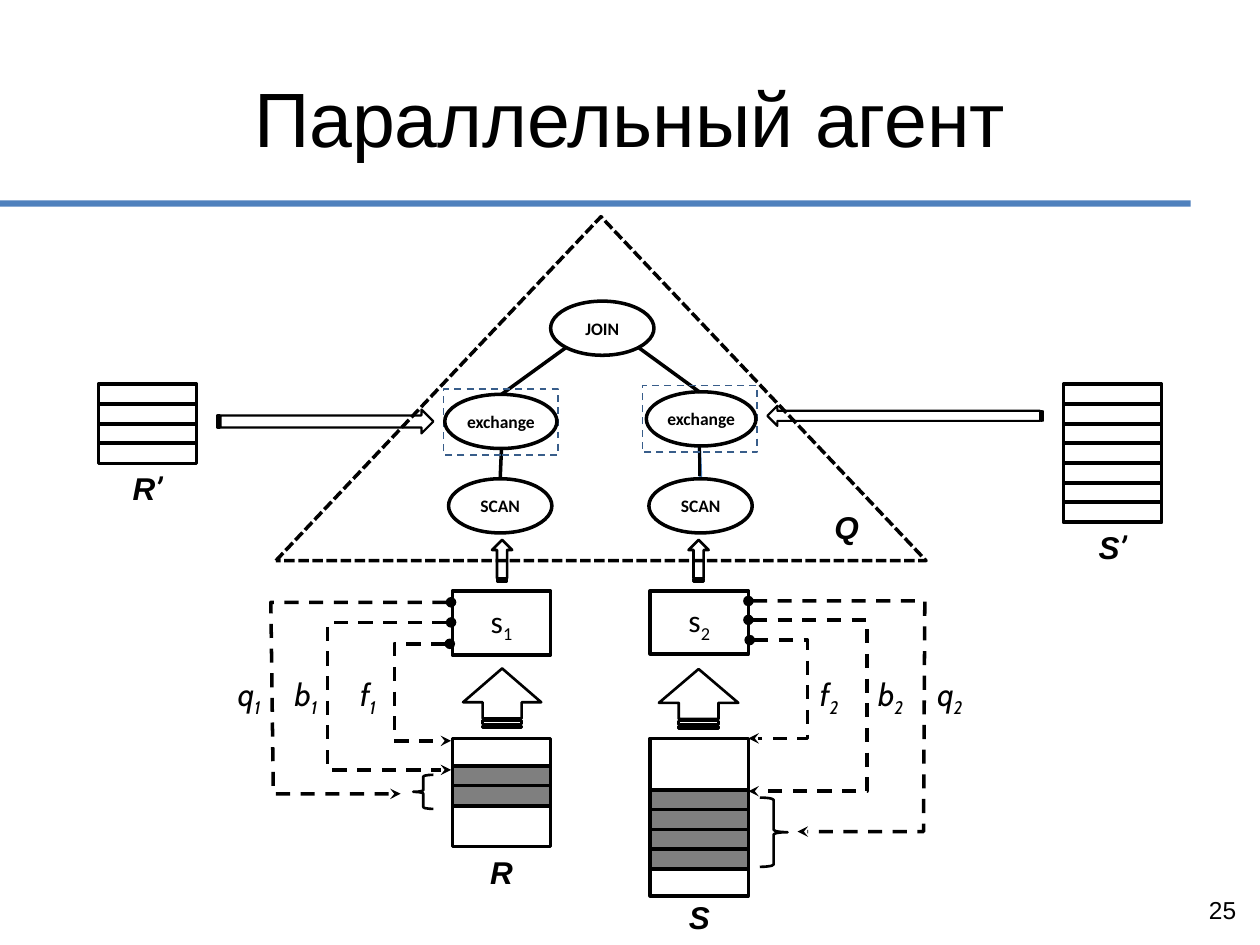
"""Build the slide on the parallel agent: a join tree fed by two scanned relations."""
from lxml import etree
from pptx import Presentation
from pptx.dml.color import RGBColor
from pptx.enum.dml import MSO_LINE as Dash
from pptx.enum.shapes import MSO_CONNECTOR, MSO_SHAPE as Kind
from pptx.enum.text import MSO_ANCHOR as Anchor, MSO_AUTO_SIZE as AutoSize, PP_ALIGN as Align
from pptx.oxml.ns import qn
from pptx.util import Inches, Pt

COLORS = {"ink": "000000", "bar": "4F81BD", "link": "4A7EBB", "frame": "385D8A", "band": "7F7F7F"}


def style(shape, width=2, fill=None, dash=None, line="ink"):
    shape.shadow.inherit = False
    if fill:
        shape.fill.solid()
        shape.fill.fore_color.rgb = RGBColor.from_string(COLORS[fill])
    else:
        shape.fill.background()
    if width:
        shape.line.color.rgb = RGBColor.from_string(COLORS[line])
        shape.line.width = Pt(width)
        shape.line.dash_style = dash
    else:
        shape.line.fill.background()
    return shape


def write(shape, runs, size=18, align=Align.CENTER, anchor=Anchor.MIDDLE,
          bold=False, italic=False, wrap=True, inset=None, grow=False):
    frame = shape.text_frame
    frame.word_wrap = wrap
    frame.vertical_anchor = anchor
    if grow:
        frame.auto_size = AutoSize.SHAPE_TO_FIT_TEXT
    if inset is not None:
        frame.margin_left = frame.margin_right = frame.margin_top = frame.margin_bottom = inset
    paragraph = frame.paragraphs[0]
    paragraph.alignment = align
    for text, face, lowered in runs:
        run = paragraph.add_run()
        run.text = text
        run.font.name = face
        run.font.size = Pt(size)
        run.font.bold = bold
        run.font.italic = italic
        run.font.color.rgb = RGBColor.from_string(COLORS["ink"])
        if lowered:
            run._r.get_or_add_rPr().set("baseline", "-25000")


deck = Presentation()
deck.slide_width, deck.slide_height = Inches(10), Inches(7.5)
shapes = deck.slides.add_slide(deck.slide_layouts[6]).shapes

title_bar = shapes.add_shape(Kind.RECTANGLE, 0, Inches(1.59), Inches(9.45), Inches(0.05))
style(title_bar, width=0, fill="bar")
title = shapes.add_textbox(Inches(0.5), Inches(0.3), Inches(9), Inches(1.25))
write(title, [("Параллельный агент", "Arial", False)], size=44)

tree_links = [
    (4.49, 2.76, 3.98, 3.13, "ink"),
    (5.07, 2.76, 5.55, 3.11, "ink"),
    (5.55, 3.54, 5.56, 3.8, "link"),
    (3.98, 3.56, 3.97, 3.8, "ink"),
    (5.55, 3.54, 5.55, 3.78, "ink"),
]
for *ends, color in tree_links:
    link = shapes.add_connector(MSO_CONNECTOR.STRAIGHT, *map(Inches, ends))
    link.line.color.rgb = RGBColor.from_string(COLORS[color])
    link.line.width = Pt(2)
    etree.SubElement(link._element.spPr, qn("a:effectLst"))

for exchange_frame in [(3.52, 3.09, 0.91, 0.52), (5.1, 3.06, 0.91, 0.53)]:
    frame_box = shapes.add_shape(Kind.RECTANGLE, *map(Inches, exchange_frame))
    style(frame_box, width=1, dash=Dash.DASH, line="frame")

query = shapes.add_shape(Kind.ISOSCELES_TRIANGLE, *map(Inches, (2.19, 1.72, 5.16, 2.73)))
style(query, dash=Dash.SQUARE_DOT)

tree_nodes = [
    ("exchange", 3.53, 3.13, 0.89),
    ("exchange", 5.13, 3.11, 0.87),
    ("JOIN", 4.37, 2.39, 0.82),
    ("SCAN", 5.15, 3.8, 0.82),
    ("SCAN", 3.56, 3.8, 0.82),
]
for operation, left, top, width in tree_nodes:
    node = style(shapes.add_shape(Kind.OVAL, *map(Inches, (left, top, width, 0.43))))
    write(node, [(operation, "Calibri", False)], size=10, bold=True, inset=0)

cell_width, row_height = 0.78, 0.16
row_pitch = cell_width / 5

rows = [(3.59, 5.86, 0.86, None), (5.16, 5.86, 1.25, None)]
row_groups = [
    (3.59, 6.08, 2, "band"),
    (5.16, 6.27, 4, "band"),
    (0.78, 3.05, 4, None),
    (8.44, 3.05, 7, None),
]
for left, top, count, fill in row_groups:
    rows += [(left, top + row_pitch * step, row_height, fill) for step in range(count)]
for left, top, height, fill in rows:
    row = shapes.add_shape(Kind.RECTANGLE, *map(Inches, (left, top, cell_width, height)))
    style(row, fill=fill)

for index, left, height in [("1", 3.59, 0.51), ("2", 5.16, 0.5)]:
    storage = shapes.add_shape(Kind.RECTANGLE, *map(Inches, (left, 4.69, cell_width, height)))
    write(style(storage), [("s", "Calibri", False), (index, "Calibri", True)])

flows = [
    (3.75, 5.23, 0.47, 0.62, 270, 0.57, 1.5),
    (5.31, 5.23, 0.47, 0.63, 270, 0.57, 1.5),
    (3.82, 4.37, 0.33, 0.16, 270, 0.5, 1.5),
    (5.38, 4.37, 0.33, 0.16, 270, 0.5, 1.5),
    (1.72, 3.25, 1.72, 0.19, 0, 0.5, 1.25),
    (6.09, 3.22, 2.19, 0.16, 180, 0.5, 1.25),
]
for *box, turn, head_length, thickness in flows:
    flow = style(shapes.add_shape(Kind.STRIPED_RIGHT_ARROW, *map(Inches, box)), width=thickness)
    flow.adjustments[0] = 0.5
    flow.adjustments[1] = head_length
    flow.rotation = turn

pointers = [
    [(3.57, 5.11), (3.13, 5.11), (3.13, 5.88), (3.58, 5.88)],
    [(3.58, 4.94), (2.6, 4.94), (2.6, 6.11), (3.58, 6.11)],
    [(3.58, 4.78), (2.15, 4.78), (2.17, 6.3), (3.18, 6.3)],
    [(5.95, 5.08), (6.41, 5.08), (6.41, 5.86), (5.94, 5.86)],
    [(5.94, 4.92), (6.88, 4.92), (6.88, 6.28), (5.94, 6.28)],
    [(5.94, 4.77), (7.34, 4.77), (7.33, 6.6), (6.33, 6.6)],
]
for route in pointers:
    start, *bends = [(Inches(x), Inches(y)) for x, y in route]
    outline = shapes.build_freeform(*start)
    outline.add_line_segments(bends, close=False)
    pointer = style(outline.convert_to_shape(), dash=Dash.DASH)
    stroke = pointer.line._get_or_add_ln()
    etree.SubElement(stroke, qn("a:headEnd"), type="oval")
    etree.SubElement(stroke, qn("a:tailEnd"), type="stealth")

for kind, box in [(Kind.LEFT_BRACE, (3.28, 6.15, 0.16, 0.27)),
                  (Kind.RIGHT_BRACE, (6.03, 6.33, 0.22, 0.55))]:
    style(shapes.add_shape(kind, *map(Inches, box)), width=1.5)

pointer_labels = [
    ("f", "1", 2.76, 0.36), ("b", "1", 2.24, 0.42), ("q", "1", 1.79, 0.42),
    ("f", "2", 6.41, 0.36), ("b", "2", 6.87, 0.42), ("q", "2", 7.34, 0.42),
]
for letter, index, left, width in pointer_labels:
    label = shapes.add_textbox(*map(Inches, (left, 5.31, width, 0.44)))
    write(label, [(letter, "Cabin", False), (index, "Cabin", True)], align=Align.LEFT,
          anchor=Anchor.TOP, italic=True, wrap=False, grow=True)

relation_labels = [
    ("R", "", 3.59, 6.72), ("S", "", 5.16, 7.08), ("Q", "", 6.33, 3.98),
    ("R", "’", 0.78, 3.67), ("S", "’", 8.44, 4.14),
]
for letter, prime, left, top in relation_labels:
    label = shapes.add_textbox(*map(Inches, (left, top, cell_width, 0.4)))
    runs = [(letter, "Arial", False)]
    if prime:
        runs.append((prime, "Roboto Condensed", False))
    write(label, runs, anchor=Anchor.TOP, bold=True, italic=True, grow=True)

page_number = shapes.add_textbox(*map(Inches, (7.58, 7.02, 2.33, 0.4)))
write(page_number, [("25", "Arial", False)], size=14, align=Align.RIGHT)

deck.save("out.pptx")
